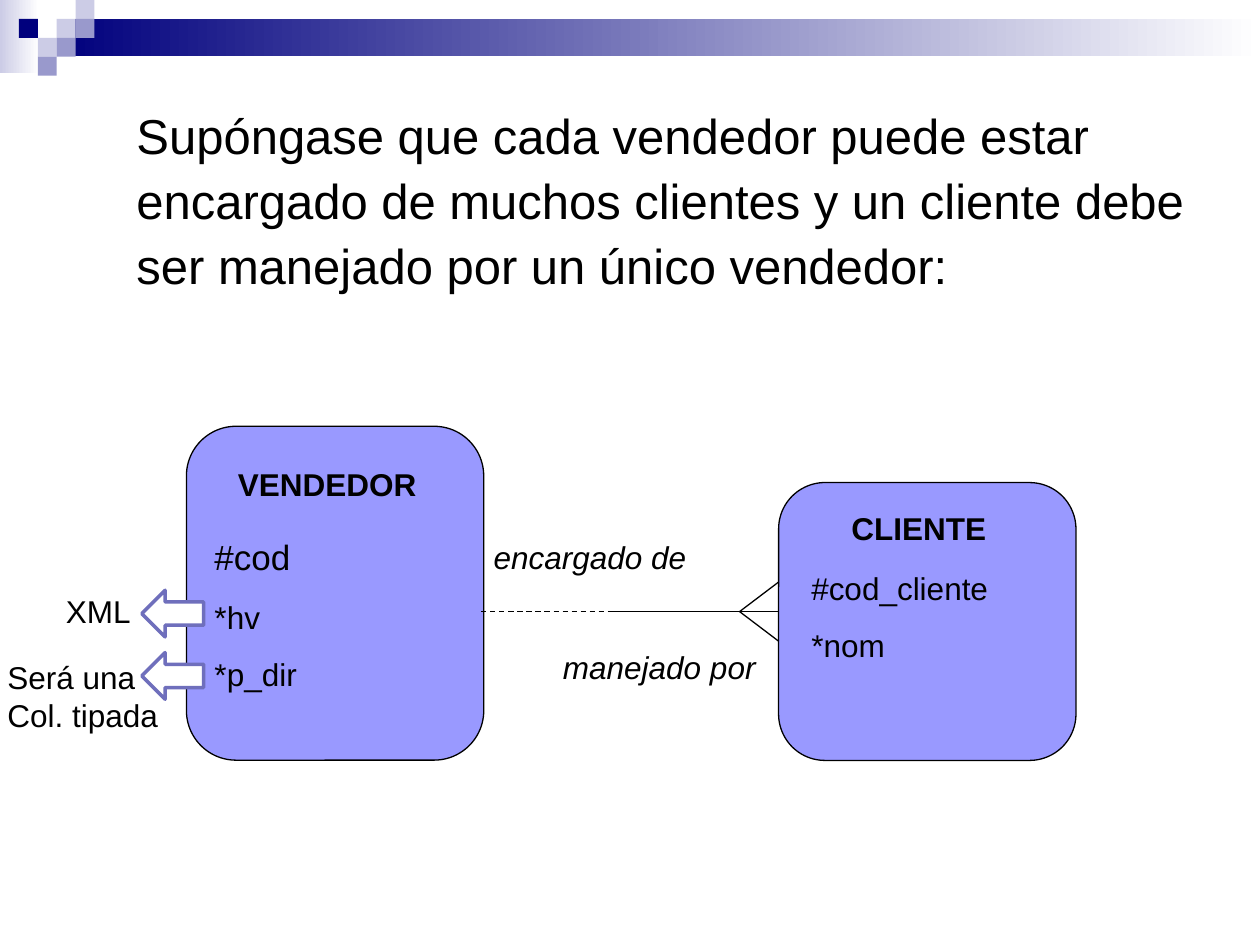
"""Build a slide with the entity-relationship diagram of VENDEDOR and CLIENTE."""
from dataclasses import dataclass
from typing import NamedTuple, Optional

import pptx
import pptx.dml.color
import pptx.enum.dml
import pptx.enum.shapes
import pptx.enum.text
import pptx.oxml.ns
import pptx.util
from lxml import etree

SHAPES = pptx.enum.shapes.MSO_SHAPE


@dataclass(frozen=True)
class Theme:
    font: str = "Arial"
    ink: str = "000000"
    paper: str = "FFFFFF"
    navy: str = "00007D"
    mist: str = "CCCCE6"
    lavender: str = "9999CC"
    entity: str = "9999FF"
    arrow: str = "6F6FBC"
    statement_size: float = 28
    key_size: float = 20
    body_size: float = 18
    thin: float = 0.75
    thick: float = 2


class Box(NamedTuple):
    col: float
    row: float
    cols: float
    rows: float


class Words(NamedTuple):
    text: str
    size: float
    before: float = 0


class Label(NamedTuple):
    box: Box
    lines: list[Words]
    bold: bool = False
    italic: bool = False
    wrap: bool = True
    leading: Optional[float] = None
    grow: bool = True


class Link(NamedTuple):
    start: tuple[float, float]
    end: tuple[float, float]
    dashed: bool = False


THEME = Theme()
COLUMNS, ROWS = 100, 75
TILE = 1.5
RELATION_ROW = 48.54
FORK_COL, CLIENT_COL = 58.7, 61.8
DASH_END = 48.4

FADES = [
    (Box(0, 0, 3.1, 5.8), THEME.mist),
    (Box(3 * TILE, TILE, COLUMNS - 3 * TILE, 2.95), THEME.navy),
]
TILES = [
    (3, 1, THEME.mist), (4, 0, THEME.mist), (4, 1, THEME.lavender),
    (2, 2, THEME.mist), (1, 1, THEME.navy), (3, 2, THEME.lavender),
    (2, 3, THEME.lavender),
]
ENTITIES = [Box(14.8, 33.83, 23.6, 26.5), Box(CLIENT_COL, 38.3, 23.6, 22.05)]
LINKS = [
    Link((38.2, RELATION_ROW), (DASH_END, RELATION_ROW), dashed=True),
    Link((DASH_END, RELATION_ROW), (CLIENT_COL, RELATION_ROW)),
    *(Link((FORK_COL, RELATION_ROW), (CLIENT_COL, RELATION_ROW + rise))
      for rise in (-2.35, 2.35)),
]
ARROWS = [Box(11.25, row, 4.9, 3.7) for row in (46.85, 51.8)]
STATEMENT = [
    "Supóngase que cada vendedor puede estar",
    "encargado de muchos clientes y un cliente debe",
    "ser manejado por un único vendedor:",
]
BODY = THEME.body_size
LABELS = [
    Label(Box(9.85, 8.4, 86.6, 18.1),
          [Words(line, THEME.statement_size, 7) for line in STATEMENT],
          leading=0.9, grow=False),
    Label(Box(66.6, 39.9, 12.7, 4), [Words("CLIENTE", BODY)], bold=True, wrap=False),
    Label(Box(17.9, 36.45, 18, 4), [Words("VENDEDOR", BODY)], bold=True),
    Label(Box(16.04, 42.04, 18.1, 13.5),
          [Words("#cod", THEME.key_size, 12.5), Words("*hv", BODY, 11.2),
           Words("*p_dir", BODY, 11.2)]),
    Label(Box(63.4, 44.64, 18.9, 8.6),
          [Words("#cod_cliente", BODY, 11.2), Words("*nom", BODY, 11.2)]),
    Label(Box(38.2, 42.2, 17.3, 4), [Words("encargado de", BODY)], italic=True, wrap=False),
    Label(Box(43.7, 50.9, 17.3, 4), [Words("manejado por", BODY)], italic=True, wrap=False),
    Label(Box(4.25, 46.5, 7.9, 4), [Words("XML", BODY)]),
    Label(Box(-0.4, 51.74, 15.1, 7), [Words("Será una Col. tipada", BODY)]),
]

deck = pptx.Presentation()
deck.slide_width = pptx.util.Inches(10)
deck.slide_height = pptx.util.Inches(7.5)
slide = deck.slides.add_slide(deck.slide_layouts[6])


def across(cols: float) -> int:
    """Turn grid columns into a length."""
    return round(deck.slide_width * cols / COLUMNS)


def down(rows: float) -> int:
    """Turn grid rows into a length."""
    return round(deck.slide_height * rows / ROWS)


def place(box: Box) -> tuple[int, int, int, int]:
    """Give left, top, width and height of a box."""
    return across(box.col), down(box.row), across(box.cols), down(box.rows)


def rgb(code: str) -> pptx.dml.color.RGBColor:
    """Give the colour for a hexadecimal code."""
    return pptx.dml.color.RGBColor.from_string(code)


def draw_shape(kind: SHAPES, box: Box, fill: str, outline: Optional[str] = None,
               weight: float = THEME.thin, fade: bool = False) -> None:
    """Draw a preset shape, solid or fading to the paper colour."""
    shape = slide.shapes.add_shape(kind, *place(box))
    shape.shadow.inherit = False
    if fade:
        shape.fill.gradient()
        shape.fill.gradient_angle = 0
        for stop, code in zip(shape.fill.gradient_stops, (fill, THEME.paper)):
            stop.color.rgb = rgb(code)
    else:
        shape.fill.solid()
        shape.fill.fore_color.rgb = rgb(fill)
    if outline:
        shape.line.color.rgb = rgb(outline)
        shape.line.width = pptx.util.Pt(weight)
    else:
        shape.line.fill.background()


def draw_link(link: Link) -> None:
    """Draw one line of the relationship."""
    (start_col, start_row), (end_col, end_row) = link.start, link.end
    line = slide.shapes.add_connector(
        pptx.enum.shapes.MSO_CONNECTOR.STRAIGHT,
        across(start_col), down(start_row), across(end_col), down(end_row))
    line.line.color.rgb = rgb(THEME.ink)
    line.line.width = pptx.util.Pt(THEME.thin)
    if link.dashed:
        line.line.dash_style = pptx.enum.dml.MSO_LINE.DASH
    etree.SubElement(line._element.spPr, pptx.oxml.ns.qn("a:effectLst"))


def draw_label(label: Label) -> None:
    """Write a label, one paragraph for each of its lines."""
    frame = slide.shapes.add_textbox(*place(label.box)).text_frame
    frame.word_wrap = label.wrap
    if label.grow:
        frame.auto_size = pptx.enum.text.MSO_AUTO_SIZE.SHAPE_TO_FIT_TEXT
    for index, words in enumerate(label.lines):
        paragraph = frame.add_paragraph() if index else frame.paragraphs[0]
        paragraph.space_before = pptx.util.Pt(words.before)
        paragraph.line_spacing = label.leading
        run = paragraph.add_run()
        run.text = words.text
        run.font.name = THEME.font
        run.font.size = pptx.util.Pt(words.size)
        run.font.bold = label.bold
        run.font.italic = label.italic
        run.font.color.rgb = rgb(THEME.ink)


def main() -> None:
    """Draw the header, the diagram and its labels, then save."""
    for band, tint in FADES:
        draw_shape(SHAPES.RECTANGLE, band, tint, fade=True)
    for col, row, tint in TILES:
        draw_shape(SHAPES.RECTANGLE, Box(col * TILE, row * TILE, TILE, TILE), tint)
    for entity in ENTITIES:
        draw_shape(SHAPES.ROUNDED_RECTANGLE, entity, THEME.entity, THEME.ink)
    for link in LINKS:
        draw_link(link)
    for arrow in ARROWS:
        draw_shape(SHAPES.LEFT_ARROW, arrow, THEME.paper, THEME.arrow, THEME.thick)
    for label in LABELS:
        draw_label(label)
    deck.save("out.pptx")


if __name__ == "__main__":
    main()
